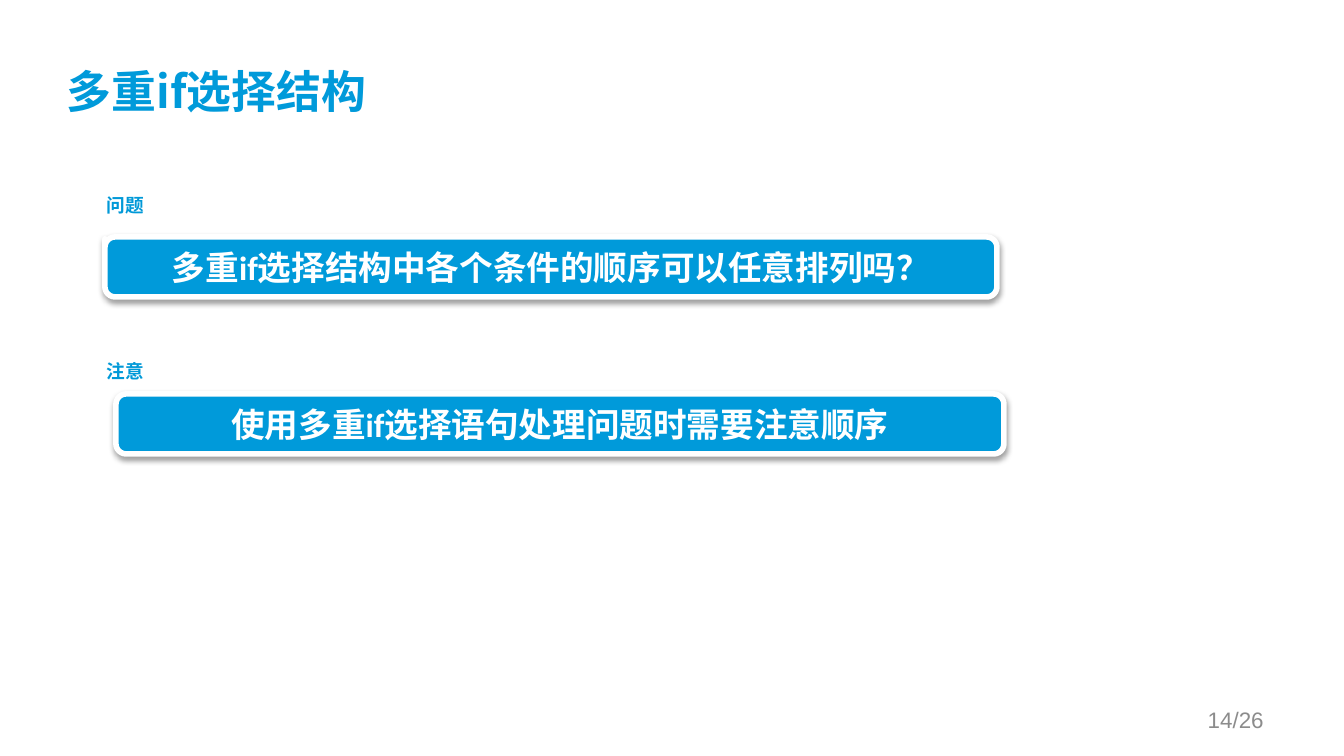
from lxml.etree import SubElement
from pptx import Presentation
from pptx.dml.color import RGBColor
from pptx.enum.shapes import MSO_SHAPE
from pptx.enum.text import MSO_ANCHOR, MSO_AUTO_SIZE, PP_ALIGN
from pptx.oxml.ns import qn
from pptx.util import Emu, Pt

SCALE = 914400 / 134.4
COLORS = {"blue": "009ADA", "tag": "0099D8", "white": "FFFFFF",
          "gray": "8C8C8C", "black": "000000"}
HAN = "Noto Sans CJK SC"


def px(n):
    return Emu(round(n * SCALE))


def color(name):
    return RGBColor.from_string(COLORS[name])


def write(shape, text, size=18, font="Calibri", fill="white", bold=True,
          align=PP_ALIGN.CENTER, anchor=MSO_ANCHOR.TOP, wrap=True,
          fit=MSO_AUTO_SIZE.NONE, hang=0):
    frame = shape.text_frame
    frame.word_wrap = wrap
    frame.auto_size = fit
    frame.vertical_anchor = anchor
    para = frame.paragraphs[0]
    para.alignment = align
    if hang:
        props = para._p.get_or_add_pPr()
        props.set("marL", str(px(hang)))
        props.set("indent", str(-px(hang)))
    run = para.add_run()
    run.text = text
    run.font.name = font
    run.font.size = Pt(size)
    run.font.bold = bold
    run.font.color.rgb = color(fill)
    SubElement(run._r.get_or_add_rPr(), qn("a:ea"), typeface=HAN)


def shade(shape):
    """Give the shape a soft shadow just below it."""
    shape.shadow.inherit = False
    effects = shape._element.spPr.find(qn("a:effectLst"))
    outer = SubElement(effects, qn("a:outerShdw"), blurRad=str(Pt(3.1)),
                       dist=str(Pt(1.6)), dir="5400000", rotWithShape="0")
    tint = SubElement(outer, qn("a:srgbClr"), val=COLORS["black"])
    SubElement(tint, qn("a:alpha"), val="38000")


def banner(slide, kind, text, box, adjust):
    shape = slide.shapes.add_shape(kind, *map(px, box))
    for i, value in enumerate(adjust):
        shape.adjustments[i] = value
    shape.fill.solid()
    shape.fill.fore_color.rgb = color("blue")
    shape.line.color.rgb = color("white")
    shape.line.width = Pt(3)
    shade(shape)
    write(shape, text, fit=MSO_AUTO_SIZE.SHAPE_TO_FIT_TEXT, hang=34)


def label(slide, text, box, **style):
    write(slide.shapes.add_textbox(*map(px, box)), text, **style)


def tag(slide, text, top):
    label(slide, text, (93, top, 65, 36), size=10, font="Arial", fill="tag",
          wrap=False, fit=MSO_AUTO_SIZE.SHAPE_TO_FIT_TEXT)


def title(slide, text):
    shape = slide.shapes.title
    shape.left, shape.top, shape.width, shape.height = map(
        px, (67, 31, 1210, 126))
    frame = shape.text_frame
    frame.margin_left = frame.margin_top = 0
    frame.margin_right, frame.margin_bottom = px(13), px(7)
    write(shape, text, size=24, font=HAN, fill="blue",
          align=PP_ALIGN.LEFT, anchor=MSO_ANCHOR.MIDDLE)


def main():
    deck = Presentation()
    deck.slide_width, deck.slide_height = px(1344), px(756)
    slide = deck.slides.add_slide(deck.slide_layouts[5])
    title(slide, "多重if选择结构")
    banner(slide, MSO_SHAPE.ROUNDED_RECTANGULAR_CALLOUT,
           "多重if选择结构中各个条件的顺序可以任意排列吗？",
           (105, 237, 892, 60), (-0.5, -0.47, 0.17))
    banner(slide, MSO_SHAPE.ROUNDED_RECTANGLE,
           "使用多重if选择语句处理问题时需要注意顺序",
           (116, 394, 888, 60), (0.17,))
    tag(slide, "问题", 187)
    tag(slide, "注意", 353)
    label(slide, "14/26", (964, 700, 313, 40), size=12, font="Arial",
          fill="gray", bold=False, align=PP_ALIGN.RIGHT,
          anchor=MSO_ANCHOR.MIDDLE)
    deck.save("out.pptx")


if __name__ == "__main__":
    main()
